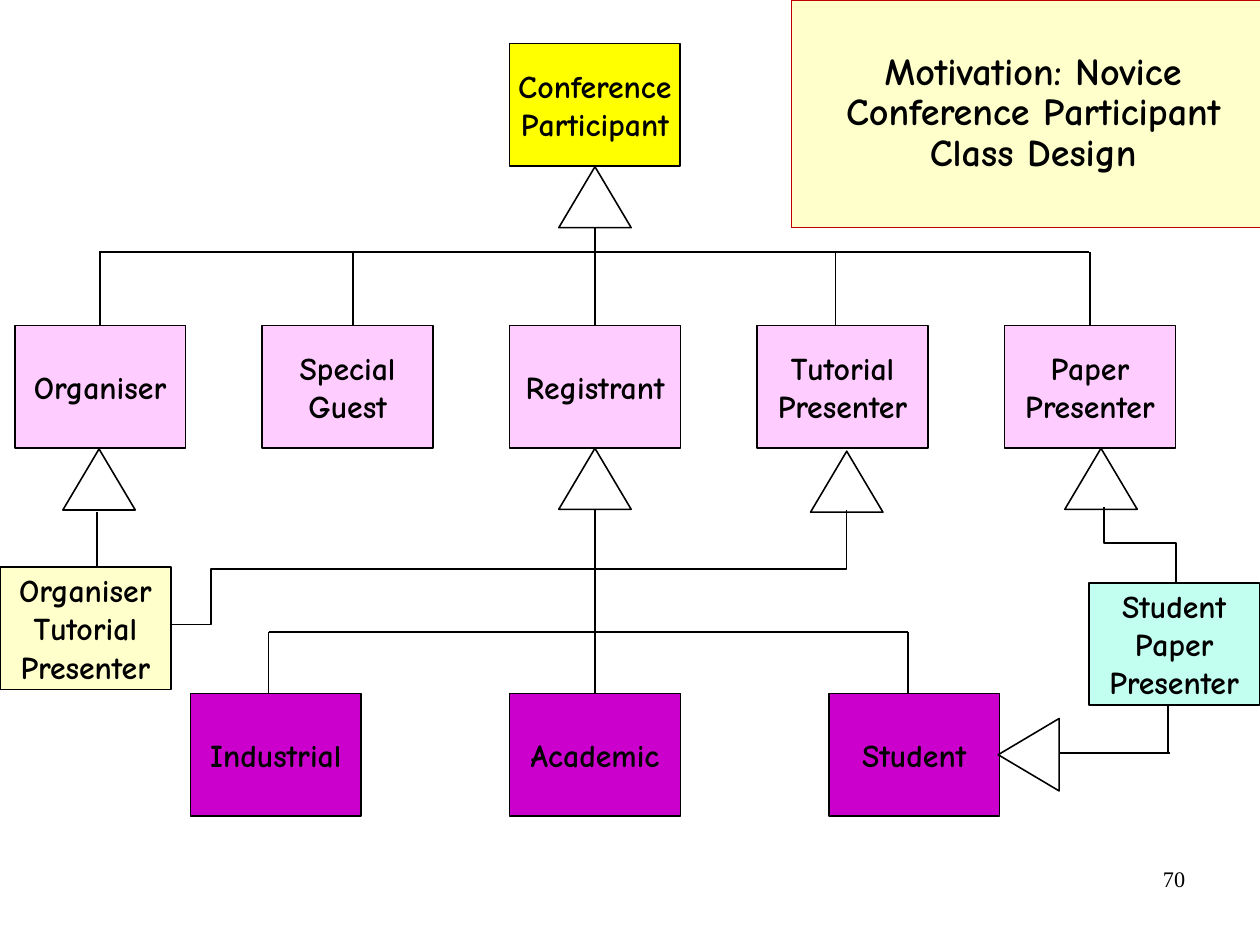
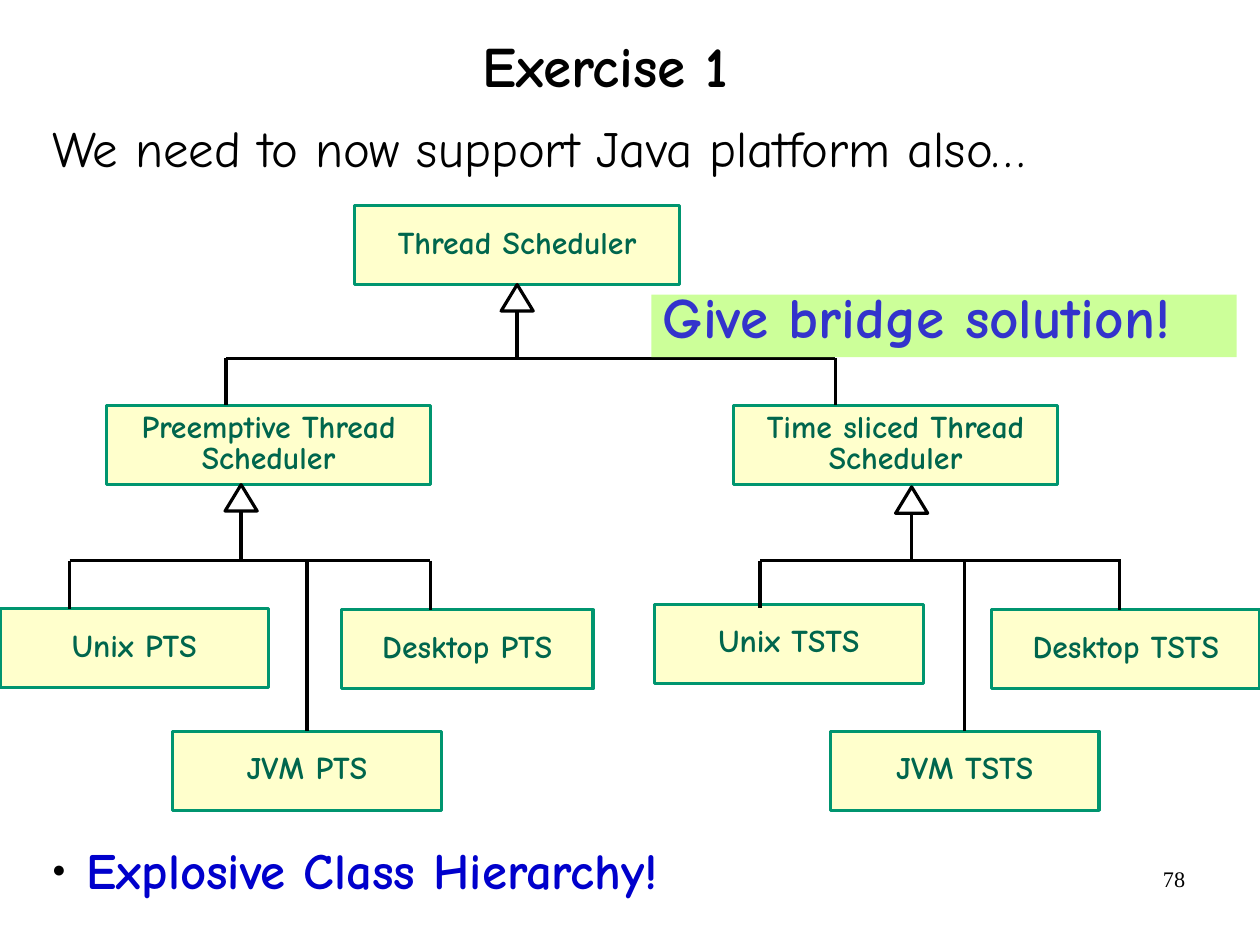
from dataclasses import dataclass
from typing import Optional

from lxml import etree
from pptx import Presentation
from pptx.dml.color import RGBColor
from pptx.enum import shapes as es, text as et
from pptx.oxml import ns
from pptx.util import Pt

BLACK = RGBColor(0x00, 0x00, 0x00)
WHITE = RGBColor(0xFF, 0xFF, 0xFF)
RED = RGBColor(0xC0, 0x00, 0x00)
CREAM = RGBColor(0xFF, 0xFF, 0xCC)
YELLOW = RGBColor(0xFF, 0xFF, 0x00)
PINK = RGBColor(0xFF, 0xCC, 0xFF)
PURPLE = RGBColor(0xCC, 0x00, 0xCC)
MINT = RGBColor(0xC2, 0xFF, 0xF0)
GREEN = RGBColor(0x00, 0x95, 0x6F)
FOREST = RGBColor(0x00, 0x66, 0x4D)
LIME = RGBColor(0xCC, 0xFF, 0x99)
INDIGO = RGBColor(0x33, 0x33, 0xCC)
BLUE = RGBColor(0x00, 0x00, 0xCC)

FACE = "Comic Neue"
INDENT = 21.6
MIDDLE = et.MSO_ANCHOR.MIDDLE
LEFT, CENTER, RIGHT = et.PP_ALIGN.LEFT, et.PP_ALIGN.CENTER, et.PP_ALIGN.RIGHT


@dataclass(frozen=True)
class Area:
    x: float
    y: float
    w: float
    h: float

    def lengths(self) -> tuple:
        return Pt(self.x), Pt(self.y), Pt(self.w), Pt(self.h)


@dataclass(frozen=True)
class Look:
    """Fill, outline and text settings of a class box."""
    fill: RGBColor
    edge: RGBColor = BLACK
    width: float = 1
    ink: RGBColor = BLACK
    space: float = 1
    wrap: bool = False


@dataclass(frozen=True)
class Node:
    """A class box; the line into its top is at stem, or at its middle."""
    label: str
    area: Area
    look: Look
    bar: Optional[float] = None
    stem: Optional[float] = None
    end: Optional[float] = None


def style(para, size: float, ink: RGBColor, bold: bool = True,
          align=CENTER, space: float = 1, face: str = FACE) -> None:
    para.alignment = align
    para.line_spacing = space
    para.space_before = para.space_after = Pt(0)
    for run in para.runs:
        font = run.font
        font.name, font.size, font.bold = face, Pt(size), bold
        font.color.rgb = ink


def indent(para) -> None:
    """Hang the first line, with no bullet."""
    props = para._p.get_or_add_pPr()
    props.set("marL", str(Pt(INDENT)))
    props.set("indent", str(-Pt(INDENT)))
    etree.SubElement(props, ns.qn("a:buNone"))


def bullet(para) -> None:
    indent(para)
    props = para._p.pPr
    props.remove(props.find(ns.qn("a:buNone")))
    hue = etree.SubElement(props, ns.qn("a:buClr"))
    etree.SubElement(hue, ns.qn("a:srgbClr"), val=str(BLACK))
    etree.SubElement(props, ns.qn("a:buSzPct"), val="45000")
    etree.SubElement(props, ns.qn("a:buChar"), char="●")


def frame(shape, area: Area, side: float = 7.9, edge: float = 4):
    """Place a shape and return its text frame with the given insets."""
    shape.left, shape.top, shape.width, shape.height = area.lengths()
    body = shape.text_frame
    body.word_wrap, body.auto_size = True, et.MSO_AUTO_SIZE.NONE
    body.margin_left = body.margin_right = Pt(side)
    body.margin_top = body.margin_bottom = Pt(edge)
    return body


def start(deck, layout: int, title: str, area: Area, size: float,
          anchor, number: int):
    """Add a slide with its title and page number."""
    slide = deck.slides.add_slide(deck.slide_layouts[layout])
    head = frame(slide.shapes.title, area)
    head.text, head.vertical_anchor = title, anchor
    style(head.paragraphs[0], size, BLACK, space=0.88)
    spot = Area(568.8, 541.8, 185, 41)
    foot = frame(slide.shapes.add_textbox(*spot.lengths()), spot, 7.2, 3.6)
    foot.text = str(number)
    style(foot.paragraphs[0], 14, BLACK, False, RIGHT, face="Times New Roman")
    return slide


def paint(shape, fill: Optional[RGBColor], edge: Optional[RGBColor],
          width: float = 1) -> None:
    shape.shadow.inherit = False
    if fill is None:
        shape.fill.background()
    else:
        shape.fill.solid()
        shape.fill.fore_color.rgb = fill
    if edge is None:
        shape.line.fill.background()
    else:
        shape.line.color.rgb = edge
        shape.line.width = Pt(width)


def line(slide, x1: float, y1: float, x2: float, y2: float, width: float):
    link = slide.shapes.add_connector(
        es.MSO_CONNECTOR.STRAIGHT, Pt(x1), Pt(y1), Pt(x2), Pt(y2))
    link.line.color.rgb = BLACK
    link.line.width = Pt(width)
    etree.SubElement(link._element.spPr, ns.qn("a:effectLst"))
    return link


def bend(slide, points: list) -> None:
    """Draw an open path with square corners."""
    spots = [(Pt(x), Pt(y)) for x, y in points]
    pen = slide.shapes.build_freeform(*spots[0])
    pen.add_line_segments(spots[1:], close=False)
    paint(pen.convert_to_shape(), None, BLACK)


def arrow(slide, area: Area, fill: Optional[RGBColor], width: float,
          turn: float = 0) -> None:
    """Draw the hollow triangle that marks inheritance."""
    shape = slide.shapes.add_shape(
        es.MSO_SHAPE.ISOSCELES_TRIANGLE, *area.lengths())
    paint(shape, fill, BLACK, width)
    shape.rotation = turn


def box(slide, node: Node, width: float) -> None:
    """Draw a class box and the line that comes down to it."""
    area, look = node.area, node.look
    shape = slide.shapes.add_shape(es.MSO_SHAPE.RECTANGLE, *area.lengths())
    paint(shape, look.fill, look.edge, look.width)
    body = frame(shape, area)
    body.word_wrap, body.vertical_anchor = look.wrap, MIDDLE
    body.text = node.label
    for para in body.paragraphs:
        style(para, 20, look.ink, space=look.space)
    if node.bar is None:
        return
    x = area.x + area.w / 2 if node.stem is None else node.stem
    link = line(slide, x, node.bar, x, node.end or area.y, width)
    if node.stem is None:
        link.end_connect(shape, 0)


def novice(deck) -> None:
    slide = start(deck, 5, "Motivation: Novice Conference Participant Class Design",
                  Area(498.6, 0, 304.5, 143.3), 24, MIDDLE, 70)
    paint(slide.shapes.title, CREAM, RED, 0.75)
    wide, high = 107.6, 77.2
    mid = 321 + wide / 2
    role, kind = Look(PINK), Look(PURPLE)

    def cell(x: float, y: float) -> Area:
        return Area(x, y, wide, high)

    nodes = [
        Node("Conference\nParticipant", cell(321, 27.5), Look(YELLOW)),
        Node("Student\nPaper\nPresenter", cell(685.9, 367.1), Look(MINT)),
        Node("Organiser\nTutorial\nPresenter", cell(0, 357.1),
             Look(CREAM), 322.5, 61),
    ]
    roles = [("Organiser", None, 158.8), ("Special\nGuest", 222.4, 158.8),
             ("Registrant", None, 143.3), ("Tutorial\nPresenter", 526.3, 158.8),
             ("Paper\nPresenter", None, 158.8)]
    for i, (label, stem, bar) in enumerate(roles):
        nodes.append(Node(label, cell(9.3 + 155.9 * i, 205), role, bar, stem))
    kinds = [("Industrial", 169.2, 398.1), ("Academic", None, 321),
             ("Student", 572.2, 398.1)]
    for i, (label, stem, bar) in enumerate(kinds):
        nodes.append(Node(label, cell(120 + 201.1 * i, 436.8), kind, bar, stem))
    for node in nodes:
        box(slide, node, 1)

    line(slide, 62.6, 158.8, 686.2, 158.8, 1)
    line(slide, 169.2, 398.1, 572.2, 398.1, 1)
    line(slide, 668, 474.3, 737.1, 474.3, 1)
    line(slide, 735.8, 444.2, 735.8, 474.3, 1)
    for x, y in [(mid, 105), (mid, 282.4), (62.4, 282.8),
                 (533.4, 284.2), (693.6, 282.4)]:
        arrow(slide, Area(x - 22.8, y, 45.6, 38.4), WHITE, 1)
    arrow(slide, Area(625.2, 456.2, 45.6, 38.4), WHITE, 1, 270)
    bend(slide, [(740.7, 367.4), (740.7, 342), (695.4, 342), (695.4, 319.6)])
    bend(slide, [(106.8, 393.4), (133, 393.4), (133, 358.4),
                 (533.3, 358.4), (533.3, 321.4)])


def exercise(deck) -> None:
    slide = start(deck, 1, "Exercise 1", Area(43, -32, 676.8, 98.6), 36,
                  et.MSO_ANCHOR.BOTTOM, 78)
    body = frame(slide.placeholders[1], Area(25, 69.5, 743.8, 454.3))
    body.text = ("We need to now support Java platform also…\n"
                 "Explosive Class Hierarchy!")
    first, last = body.paragraphs
    indent(first)
    style(first, 32, BLACK, False, LEFT)
    bullet(last)
    style(last, 32, BLUE, True, LEFT)
    last.space_before = Pt(416.5)

    look = Look(CREAM, GREEN, 2, FOREST, 0.8, True)
    high, top, low, base = 49.9, 225.8, 353.2, 460.6
    nodes = [
        ("Thread Scheduler", 223.6, 129.6, 204.5),
        ("Preemptive Thread Scheduler", 67, 255.3, 204.5, top, 142.4),
        ("Time sliced Thread Scheduler", 462, 255.3, 204.5, top, 526.3),
        ("Unix PTS", 0, 383.4, 169.2, low, 43.9),
        ("Desktop PTS", 215.2, 384.1, 158.4, low, 271.2),
        ("Unix TSTS", 412.4, 380.6, 169.2, low, 478.8, 383),
        ("Desktop TSTS", 624.6, 384.1, 169.2, low, 705.4),
        ("JVM PTS", 108.7, base, 169.2, low),
        ("JVM TSTS", 523.1, base, 169.2, low),
    ]
    for label, x, y, wide, *drop in nodes:
        box(slide, Node(label, Area(x, y, wide, high), look, *drop), 2.25)

    for x, y, bar, left, right in [(325.8, 179.3, top, 142.4, 526.3),
                                   (151.9, 305.3, low, 43.9, 271.2),
                                   (574.3, 306.7, low, 478.8, 706.1)]:
        arrow(slide, Area(x - 10.1, y, 20.2, 16.6), None, 2)
        line(slide, x, y + 16.6, x, bar, 2.25)
        line(slide, left, bar, right, bar, 2)

    area = Area(410.4, 185.6, 368.6, 39.4)
    hint = slide.shapes.add_shape(es.MSO_SHAPE.RECTANGLE, *area.lengths())
    paint(hint, LIME, None)
    note = frame(hint, area, 7.2, 3.6)
    note.text, note.vertical_anchor = "Give bridge solution!", et.MSO_ANCHOR.TOP
    indent(note.paragraphs[0])
    style(note.paragraphs[0], 36, INDIGO, True, LEFT, 0.7)


def main() -> None:
    deck = Presentation()
    deck.slide_width, deck.slide_height = Pt(793.75), Pt(595.25)
    novice(deck)
    exercise(deck)
    deck.save("out.pptx")


if __name__ == "__main__":
    main()
